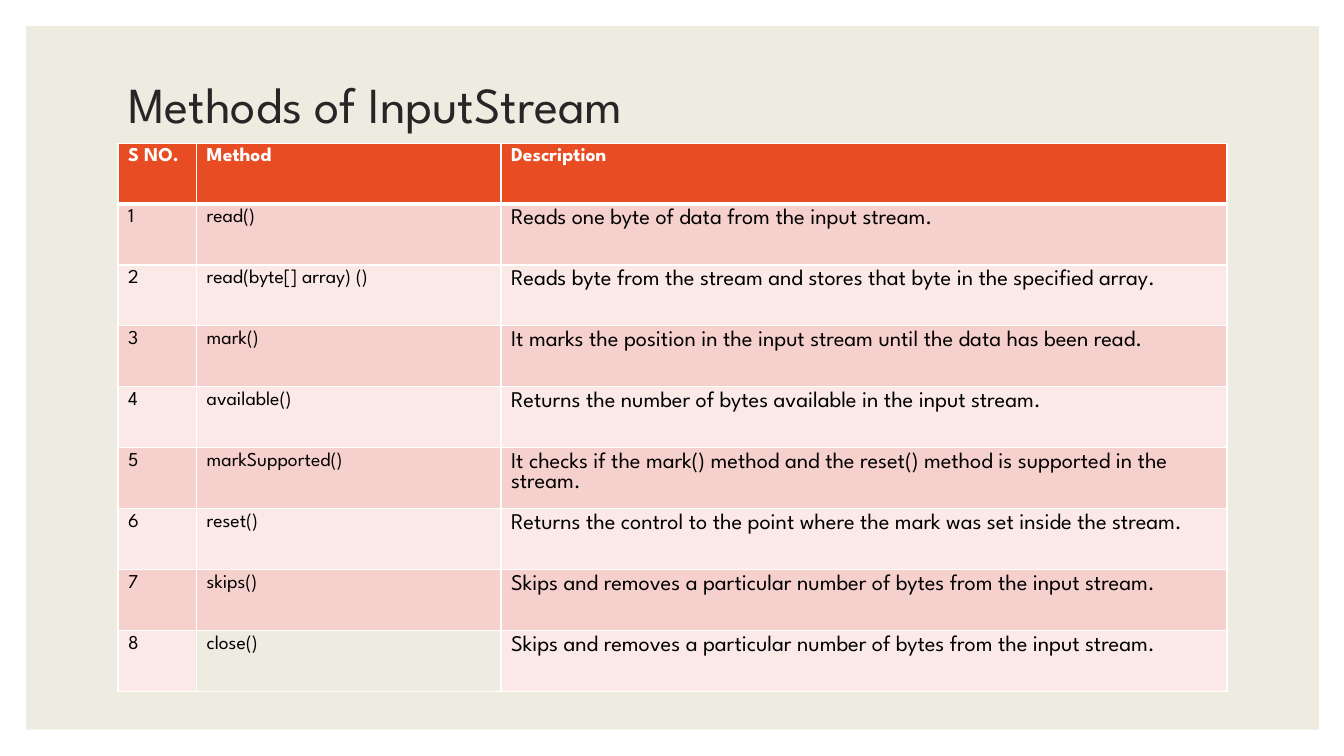
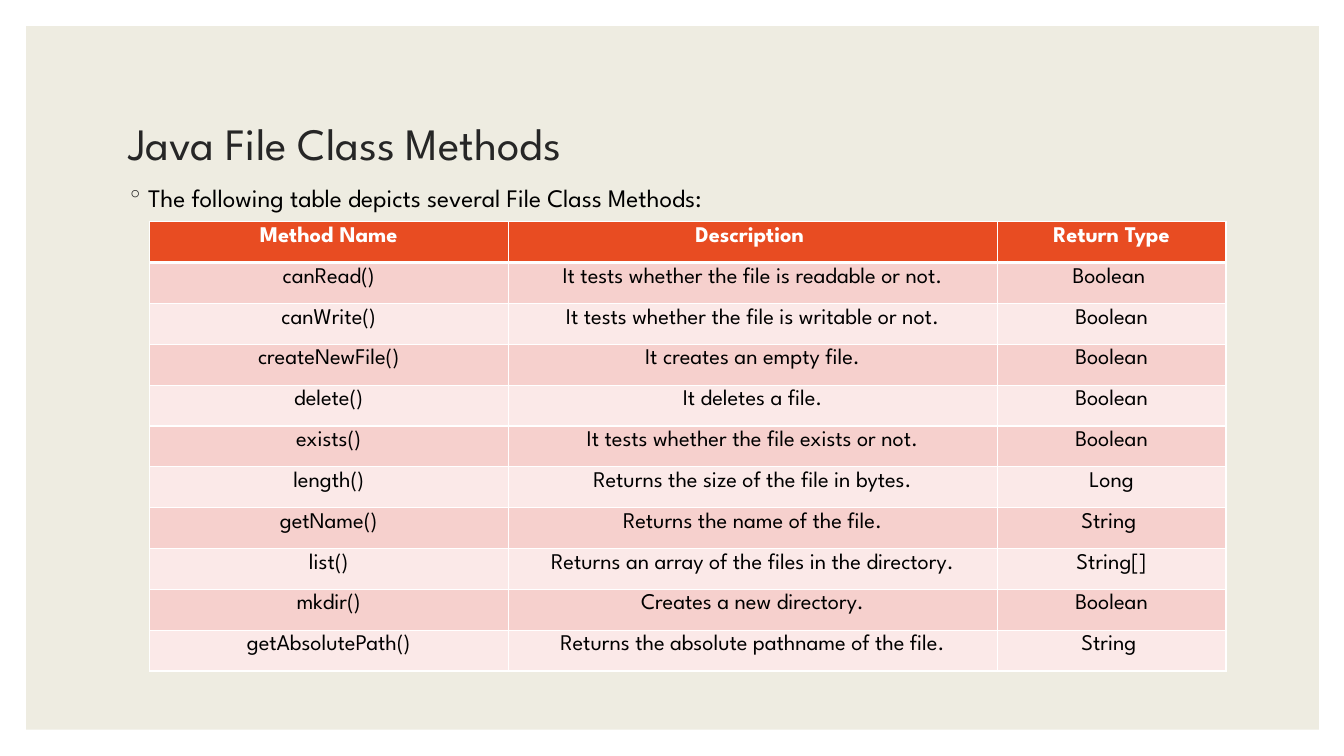
from lxml import etree
from pptx import Presentation
from pptx import util as u
from pptx.dml.color import RGBColor
from pptx.enum import shapes, text
from pptx.oxml import ns

FONT = "League Spartan"
WHITE = RGBColor(0xFF, 0xFF, 0xFF)
BLACK = RGBColor(0, 0, 0)
INK = RGBColor(0x26, 0x26, 0x26)
PANEL = RGBColor(0xEE, 0xEC, 0xE1)
HEADER = RGBColor(0xE8, 0x4C, 0x22)
BANDS = RGBColor(0xF6, 0xD0, 0xCD), RGBColor(0xFB, 0xE9, 0xE8)

LEFT, CONTENT_WIDTH = 1.17, 11

SLIDES = [
    {
        "title": "Methods of InputStream", "title_size": 36, "title_height": 0.72,
        "table_at": (1.17, 1.42), "table_height": 5.44, "columns": (0.78, 3.02, 7.2),
        "sizes": (14, 14, 16), "header_size": 14, "align": text.PP_ALIGN.LEFT,
        "unbanded": [(8, 1)],
        "rows": [
            ("S NO.", "Method", "Description"),
            ("1", "read()", "Reads one byte of data from the input stream."),
            ("2", "read(byte[] array) ()",
             "Reads byte from the stream and stores that byte in the specified array."),
            ("3", "mark()",
             "It marks the position in the input stream until the data has been read."),
            ("4", "available()", "Returns the number of bytes available in the input stream."),
            ("5", "markSupported()",
             "It checks if the mark() method and the reset() method is supported in the stream."),
            ("6", "reset()",
             "Returns the control to the point where the mark was set inside the stream."),
            ("7", "skips()",
             "Skips and removes a particular number of bytes from the input stream."),
            ("8", "close()",
             "Skips and removes a particular number of bytes from the input stream."),
        ],
    },
    {
        "title": "Java File Class Methods", "title_size": 32, "title_height": 1.5,
        "bullet": "The following table depicts several File Class Methods:",
        "table_at": (1.48, 2.2), "table_height": 4.46, "columns": (3.56, 4.85, 2.27),
        "sizes": (16, 16, 16), "header_size": 16, "align": text.PP_ALIGN.CENTER,
        "unbanded": [],
        "rows": [
            ("Method Name", "Description ", "Return Type"),
            ("canRead()", "It tests whether the file is readable or not.", "Boolean "),
            ("canWrite()", "It tests whether the file is writable or not.", "Boolean"),
            ("createNewFile()", "It creates an empty file.", "Boolean"),
            ("delete()", "It deletes a file.", "Boolean"),
            ("exists()", "It tests whether the file exists or not.", "Boolean"),
            ("length()", "Returns the size of the file in bytes.", "Long"),
            ("getName()", "Returns the name of the file.", "String "),
            ("list()", "Returns an array of the files in the directory.", "String[]"),
            ("mkdir()", "Creates a new directory.", "Boolean"),
            ("getAbsolutePath()", "Returns the absolute pathname of the file.", "String "),
        ],
    },
]


def write(frame, words, size, color, bold=False, **paragraph_format):
    """Put one formatted paragraph into a text frame."""
    paragraph = frame.paragraphs[0]
    for name, value in paragraph_format.items():
        setattr(paragraph, name, value)
    run = paragraph.add_run()
    run.text = words
    for name, value in {"name": FONT, "size": u.Pt(size), "bold": bold}.items():
        setattr(run.font, name, value)
    run.font.color.rgb = color
    return paragraph


def add_border(cell, side, points):
    """Draw a white line on one side (L, R, T or B) of a cell."""
    properties = cell._tc.get_or_add_tcPr()
    line = etree.SubElement(properties, ns.qn(f"a:ln{side}"), w=str(u.Pt(points)))
    fill = etree.SubElement(line, ns.qn("a:solidFill"))
    etree.SubElement(fill, ns.qn("a:srgbClr"), val=str(WHITE))


presentation = Presentation()
presentation.slide_width = u.Inches(13.33)
presentation.slide_height = u.Inches(7.5)
layout = presentation.slide_layouts[5]

for number, content in enumerate(SLIDES):
    slide = presentation.slides.add_slide(layout)

    # Background panel, moved into the layout so that all slides share it
    if number == 0:
        panel = slide.shapes.add_shape(
            shapes.MSO_SHAPE.RECTANGLE,
            u.Inches(0.26), u.Inches(0.26), u.Inches(12.82), u.Inches(6.98))
        panel.shadow.inherit = False
        panel.fill.solid()
        panel.fill.fore_color.rgb = PANEL
        panel.line.fill.background()
        layout.shapes._spTree.insert(2, panel._element)

    # Title
    title = slide.shapes.title
    box = {"left": LEFT, "top": 0.7, "width": CONTENT_WIDTH, "height": content["title_height"]}
    for name, value in box.items():
        setattr(title, name, u.Inches(value))
    title.text_frame.auto_size = text.MSO_AUTO_SIZE.NONE
    title.text_frame.vertical_anchor = text.MSO_ANCHOR.MIDDLE
    write(title.text_frame, content["title"], content["title_size"], INK,
          alignment=text.PP_ALIGN.LEFT, line_spacing=0.9)

    # Bulleted introduction
    if "bullet" in content:
        introduction = slide.shapes.add_textbox(
            u.Inches(LEFT), u.Inches(1.76), u.Inches(CONTENT_WIDTH), u.Inches(0.44))
        introduction.text_frame.word_wrap = True
        paragraph = write(introduction.text_frame, content["bullet"], 18, BLACK,
                          space_before=u.Pt(9))
        properties = paragraph._p.get_or_add_pPr()
        properties.set("marL", str(u.Inches(0.2)))
        properties.set("indent", str(u.Inches(-0.2)))
        bullet_color = etree.SubElement(properties, ns.qn("a:buClr"))
        etree.SubElement(bullet_color, ns.qn("a:srgbClr"), val=str(INK))
        etree.SubElement(properties, ns.qn("a:buFont"), typeface=FONT)
        etree.SubElement(properties, ns.qn("a:buChar"), char="◦")

    # Table
    rows, columns = content["rows"], content["columns"]
    left, top = content["table_at"]
    table = slide.shapes.add_table(
        len(rows), len(columns), u.Inches(left), u.Inches(top),
        u.Inches(sum(columns)), u.Inches(content["table_height"])).table
    for column, width in zip(table.columns, columns):
        column.width = u.Inches(width)

    for r, row in enumerate(rows):
        for c, words in enumerate(row):
            cell = table.cell(r, c)
            is_header = r == 0
            borders = {"L": 1, "R": 1, "T": 3 if r == 1 else 1, "B": 3 if is_header else 1}
            for side, points in borders.items():
                add_border(cell, side, points)
            cell.fill.solid()
            if is_header:
                cell.fill.fore_color.rgb = HEADER
            elif (r, c) in content["unbanded"]:
                cell.fill.fore_color.rgb = PANEL
            else:
                cell.fill.fore_color.rgb = BANDS[(r - 1) % 2]
            write(cell.text_frame, words,
                  content["header_size"] if is_header else content["sizes"][c],
                  WHITE if is_header else BLACK, is_header, alignment=content["align"])

presentation.save("out.pptx")
